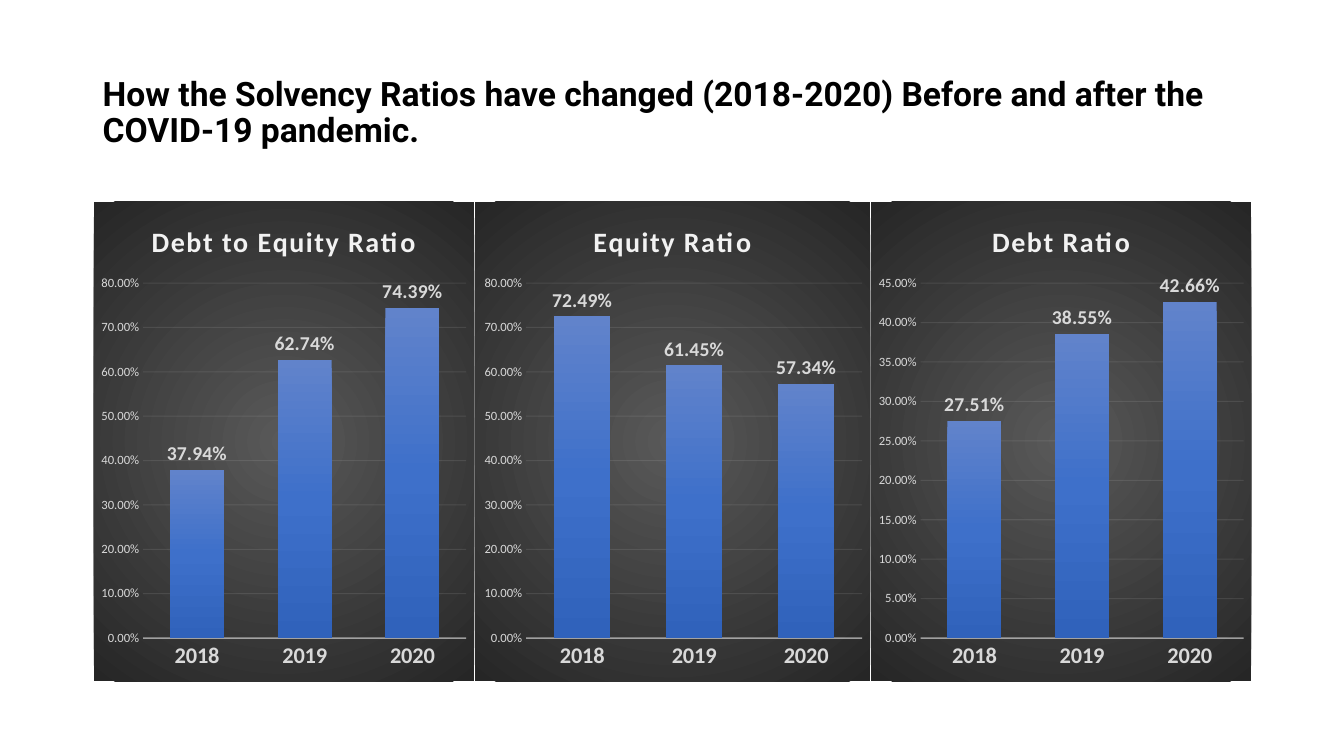
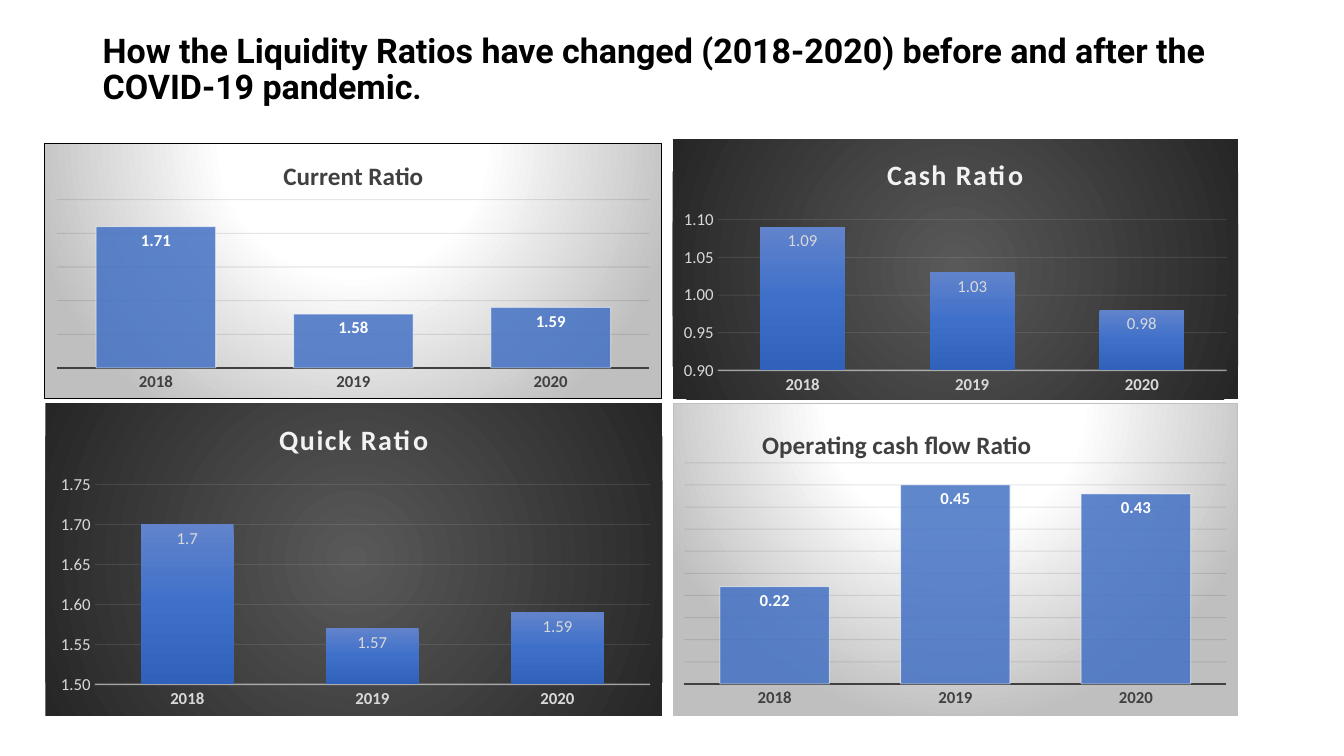
from dataclasses import dataclass

import pptx
import pptx.chart.data
import pptx.dml.color
import pptx.enum.chart
import pptx.enum.text
import pptx.oxml
import pptx.oxml.ns
import pptx.util

Inches = pptx.util.Inches
Pt = pptx.util.Pt
XL = pptx.enum.chart
YEARS = ("2018", "2019", "2020")


def rgb(color):
    return pptx.dml.color.RGBColor.from_string(color)


def parse_xml(tag, body):
    """Build one element, with the chart and drawing namespaces declared."""
    ns = pptx.oxml.ns.nsdecls("c", "a")
    return pptx.oxml.parse_xml(f"<{tag} {ns}>{body}</{tag}>")


def gradient(stops, direction):
    gs = "".join(f'<a:gs pos="{pos * 1000}"><a:srgbClr val="{color}"/></a:gs>'
                 for pos, color in stops)
    return f'<a:gradFill rotWithShape="1"><a:gsLst>{gs}</a:gsLst>{direction}</a:gradFill>'


def radial(stops, top, bottom):
    return gradient(stops, '<a:path path="circle"><a:fillToRect l="50000" '
                    f't="{top * 1000}" r="50000" b="{bottom * 1000}"/></a:path>')


def manual_layout(x, y, w=None, h=None):
    """Place a chart part by fractions of the chart; the size is optional."""
    inner = '<c:layoutTarget val="inner"/>' if w else ""
    sizes = f'<c:w val="{w}"/><c:h val="{h}"/>' if w else ""
    return parse_xml("c:layout", f'<c:manualLayout>{inner}<c:xMode val="edge"/>'
                     f'<c:yMode val="edge"/><c:x val="{x}"/><c:y val="{y}"/>'
                     f'{sizes}</c:manualLayout>')


@dataclass(frozen=True)
class ChartStyle:
    background: str
    title_color: str
    title_size: int
    title_spacing: int
    text: str
    axis: str
    axis_width: float
    axis_alpha: int
    grid: str
    label: str
    gap: int
    overlap: int
    axis_shown: bool


@dataclass(frozen=True)
class Theme:
    title_font: str = "Roboto"
    chart_font: str = "Calibri"
    title_color: str = "000000"
    chart_size: int = 10
    grid_width: float = 0.75
    grid_alpha: int = 10
    bar: str = "4472C4"
    bar_edge: str = "FFFFFF"
    bar_gradient: str = gradient(
        ((0, "6183CB"), (50, "3E70CA"), (100, "3062BB")),
        '<a:lin ang="5400000" scaled="0"/>')
    dark: ChartStyle = ChartStyle(
        radial(((0, "595959"), (100, "262626")), 50, 50),
        "F2F2F2", 20, 100, "D9D9D9", "F2F2F2", 1, 54, "F2F2F2", "D9D9D9",
        100, -24, True)
    light: ChartStyle = ChartStyle(
        radial(((0, "FFFFFF"), (39, "FFFFFF"), (100, "BFBFBF")), -80, 180),
        "404040", 18, 0, "404040", "404040", 1.5, 100, "0D0D0D", "FFFFFF",
        65, 0, False)


class Deck:
    def __init__(self, theme):
        self.theme = theme
        self.prs = pptx.Presentation()
        self.prs.slide_width = Inches(13.33)
        self.prs.slide_height = Inches(7.5)

    def add_slide(self):
        self.slide = self.prs.slides.add_slide(self.prs.slide_layouts[6])

    def set_font(self, font, size, color, bold=False, name=None):
        font.name = name or self.theme.chart_font
        font.size = Pt(size)
        font.bold = bold
        font.color.rgb = rgb(color)

    def set_line(self, line, color, width):
        line.color.rgb = rgb(color)
        line.width = Pt(width)

    def fade(self, chart, where, alpha):
        """Make the colours below an XPath partly transparent."""
        for color in chart.element.xpath(f"{where}//a:srgbClr"):
            color.append(parse_xml("a:alpha", ""))
            color[-1].set("val", str(alpha * 1000))

    def title(self, top, height, runs):
        sp = self.slide.shapes.add_textbox(
            Inches(0.92), Inches(top), Inches(11.5), Inches(height))
        tf = sp.text_frame
        tf.word_wrap = True
        tf.vertical_anchor = pptx.enum.text.MSO_ANCHOR.MIDDLE
        p = tf.paragraphs[0]
        p.line_spacing = 0.9
        for text, size in runs:
            r = p.add_run()
            r.text = text
            self.set_font(r.font, size, self.theme.title_color, True,
                          self.theme.title_font)

    def chart(self, box, title, values, style, plot_box, scale, axis_format="0.00",
              label_format="0.00", cat_size=12, val_size=12, label_size=12,
              label_bold=False, label_position=XL.XL_LABEL_POSITION.INSIDE_END,
              border=None, title_at=None):
        data = pptx.chart.data.CategoryChartData()
        data.categories = YEARS
        data.add_series("Series 1", values)
        chart = self.slide.shapes.add_chart(
            XL.XL_CHART_TYPE.COLUMN_CLUSTERED, *map(Inches, box), data).chart
        chart.has_legend = False
        self.set_font(chart.font, self.theme.chart_size, self.theme.title_color)
        self.chart_background(chart, style, border)
        self.chart_title(chart, title, style, title_at)
        self.chart_axes(chart, style, scale, axis_format, cat_size, val_size)
        self.chart_bars(chart, style)

        plot = chart.plots[0]
        plot.has_data_labels = True
        labels = plot.data_labels
        labels.show_value = True
        labels.position = label_position
        labels.number_format = label_format
        labels.number_format_is_linked = False
        self.set_font(labels.font, label_size, style.label, label_bold)

        area = chart.element.xpath("c:chart/c:plotArea")[0]
        for old in area.xpath("c:layout"):
            area.remove(old)
        area.insert(0, manual_layout(*plot_box))

    def chart_background(self, chart, style, border):
        line = "<a:ln><a:noFill/></a:ln>"
        if border:
            line = (f'<a:ln w="{Pt(0.75)}"><a:solidFill><a:srgbClr val="{border}"/>'
                    "</a:solidFill></a:ln>")
        sp_pr = parse_xml("c:spPr", style.background + line)
        chart.element.xpath("c:chart")[0].addnext(sp_pr)

    def chart_title(self, chart, text, style, title_at):
        chart.has_title = True
        p = chart.chart_title.text_frame.paragraphs[0]
        r = p.add_run()
        r.text = text
        self.set_font(r.font, style.title_size, style.title_color, True)
        title = chart.element.xpath("c:chart/c:title")[0]
        title.xpath(".//a:rPr")[0].set("spc", str(style.title_spacing))
        if title_at:
            for old in title.xpath("c:layout"):
                title.remove(old)
            title.xpath("c:tx")[0].addnext(manual_layout(*title_at))

    def chart_axes(self, chart, style, scale, axis_format, cat_size, val_size):
        cat, val = chart.category_axis, chart.value_axis
        for axis in (cat, val):
            axis.major_tick_mark = axis.minor_tick_mark = XL.XL_TICK_MARK.NONE
        self.set_font(cat.tick_labels.font, cat_size, style.text, True)
        self.set_line(cat.format.line, style.axis, style.axis_width)
        self.fade(chart, ".//c:catAx/c:spPr", style.axis_alpha)

        val.visible = style.axis_shown
        val.minimum_scale, val.maximum_scale, val.major_unit = scale
        val.tick_labels.number_format = axis_format
        val.tick_labels.number_format_is_linked = False
        self.set_font(val.tick_labels.font, val_size, style.text)
        val.format.line.fill.background()
        val.has_major_gridlines = True
        self.set_line(val.major_gridlines.format.line, style.grid,
                      self.theme.grid_width)
        self.fade(chart, ".//c:majorGridlines", self.theme.grid_alpha)

    def chart_bars(self, chart, style):
        plot = chart.plots[0]
        plot.vary_by_categories = False
        plot.gap_width = style.gap
        plot.overlap = style.overlap
        bars = plot.series[0]
        bars.format.fill.solid()
        bars.format.fill.fore_color.rgb = rgb(self.theme.bar)
        sp_pr = ".//c:ser/c:spPr"
        if style is self.theme.dark:
            solid = chart.element.xpath(f"{sp_pr}/a:solidFill")[0]
            solid.getparent().replace(
                solid, pptx.oxml.parse_xml(self.theme.bar_gradient.replace(
                    "<a:gradFill", "<a:gradFill " + pptx.oxml.ns.nsdecls("a"), 1)))
        else:
            self.fade(chart, f"{sp_pr}/a:solidFill", 85)
            self.set_line(bars.format.line, self.theme.bar_edge, 0.75)
            self.fade(chart, f"{sp_pr}/a:ln", 50)


def solvency_slide(deck):
    deck.add_slide()
    deck.title(0.4, 1.45, [(
        "How the Solvency Ratios have changed (2018-2020) Before and after the "
        "COVID-19 pandemic.", 24)])
    ratios = (
        (0.93, 3.77, "Debt to Equity Ratio", (0.3794, 0.6274, 0.7439), (0, 0.8, 0.1)),
        (4.71, 3.92, "Equity Ratio", (0.7249, 0.6145, 0.5734), (0, 0.8, 0.1)),
        (8.64, 3.77, "Debt Ratio", (0.2751, 0.3855, 0.4266), (0, 0.45, 0.05)),
    )
    for left, width, name, values, scale in ratios:
        deck.chart((left, 2, width, 4.76), name, values, deck.theme.dark,
                   (0.13, 0.17, 0.85, 0.74), scale, axis_format="0.00%",
                   label_format="0.00%", cat_size=16, val_size=9, label_size=14,
                   label_bold=True,
                   label_position=XL.XL_LABEL_POSITION.OUTSIDE_END)


def liquidity_slide(deck):
    dark, light = deck.theme.dark, deck.theme.light
    deck.add_slide()
    deck.title(0.2, 1, [(
        "How the Liquidity Ratios have changed (2018-2020) before and after the "
        "COVID-19 pandemic", 24.3), (".", 21.6)])
    deck.chart((0.44, 1.42, 6.13, 2.54), "Current Ratio", (1.71, 1.58, 1.59), light,
               (0.02, 0.22, 0.96, 0.66), (1.5, 1.75, 0.05), label_bold=True,
               border="000000")
    deck.chart((0.45, 4, 6.12, 3.1), "Quick Ratio", (1.7, 1.57, 1.59), dark,
               (0.08, 0.26, 0.9, 0.64), (1.5, 1.75, 0.05), label_format="General")
    deck.chart((6.67, 4, 5.61, 3.1), "Operating cash flow Ratio", (0.22, 0.45, 0.43),
               light, (0.02, 0.19, 0.96, 0.71), (0, 0.5, 0.05), label_bold=True,
               border="BFBFBF", title_at=(0.15, 0.06))
    deck.chart((6.67, 1.38, 5.61, 2.58), "Cash Ratio", (1.09, 1.03, 0.98), dark,
               (0.08, 0.31, 0.9, 0.58), (0.9, 1.1, 0.05))


def main():
    deck = Deck(Theme())
    solvency_slide(deck)
    liquidity_slide(deck)
    deck.prs.save("out.pptx")


if __name__ == "__main__":
    main()
